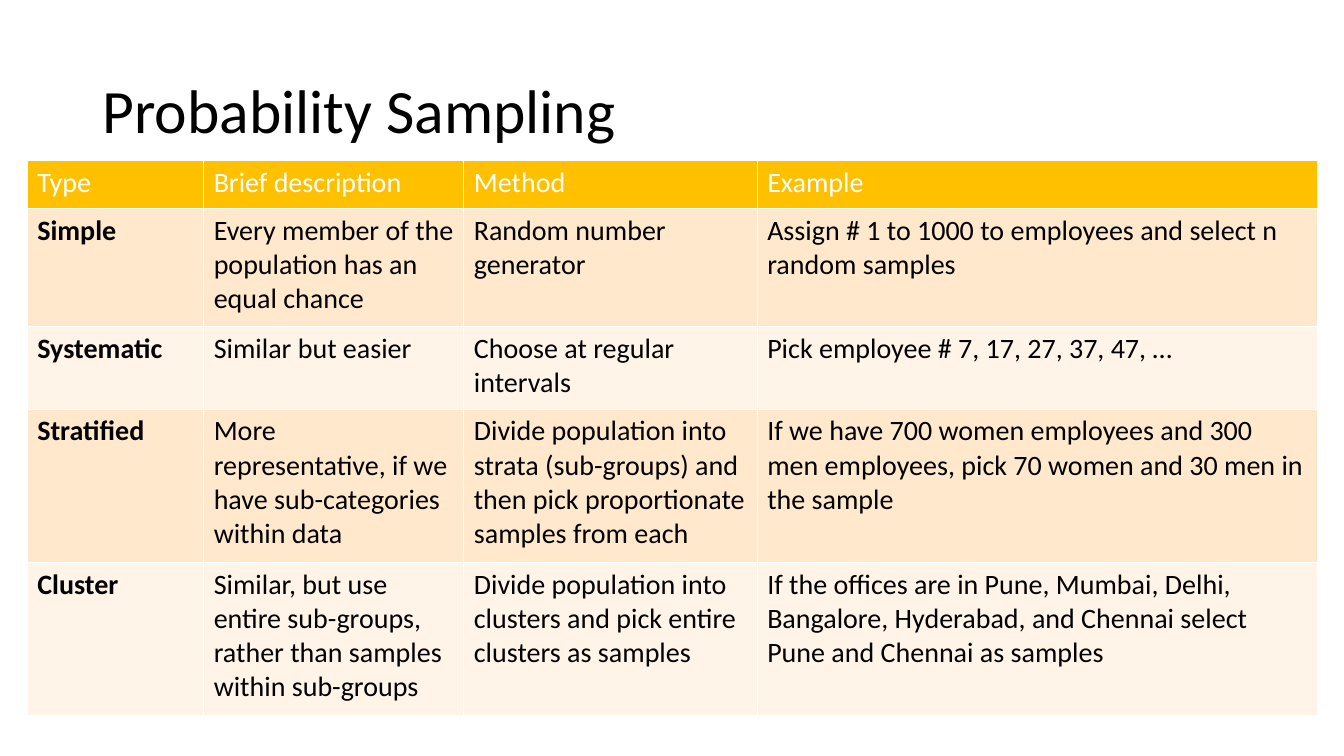
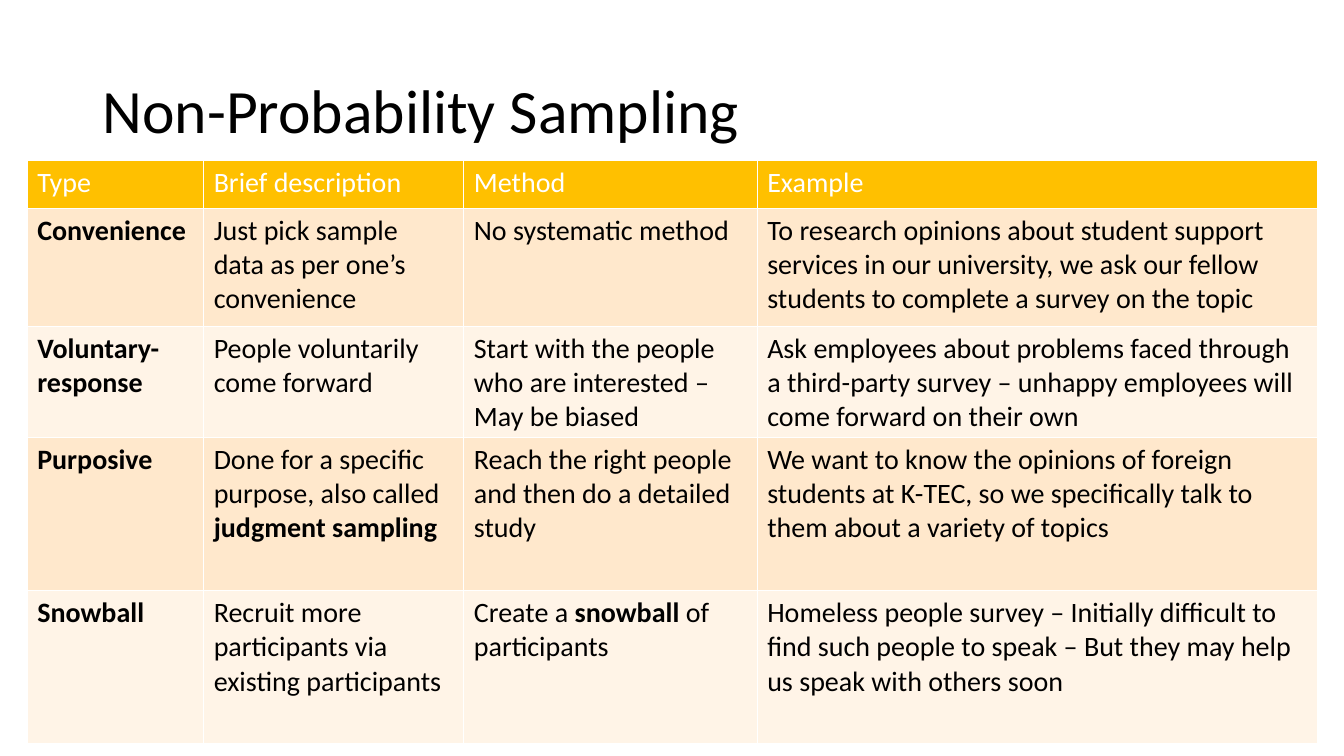
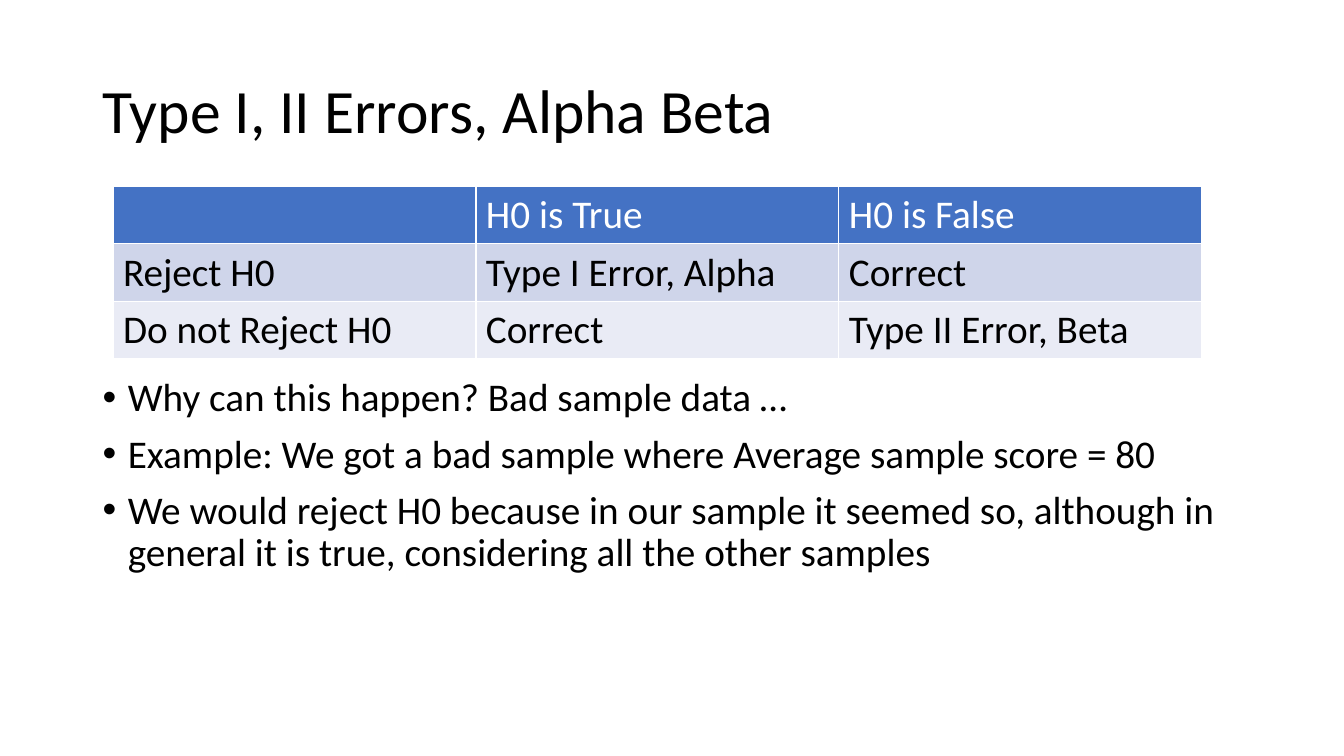
import lxml.etree
import pptx
import pptx.dml.color
import pptx.enum.text
import pptx.oxml.ns
import pptx.util

FONT = "Calibri"
BLACK, WHITE = "000000", "FFFFFF"
# Each palette holds the header fill, then the two alternating row fills.
AMBER = ("FFC000", "FFE8CC", "FFF4E7")
BLUE = ("4472C4", "CFD5EA", "E9EBF5")

SLIDE_SIZE = (13.33, 7.5)
TITLE_BOX = (0.92, 0.4, 11.5, 1.45)
SAMPLING_ORIGIN = (0.27, 1.59)
SAMPLING_COLUMNS = (1.75, 2.58, 2.91, 5.56)
SAMPLING_ROWS = (0.48, 1.17, 0.82, 1.52, 1.52)
ERRORS_ORIGIN = (1.12, 1.85)
ERRORS_COLUMNS = (3.6,) * 3
ERRORS_ROWS = (0.57,) * 3
REMARKS_BOX = (0.92, 3.7, 11.5, 3.06)

SAMPLING_HEADER = ("Type", "Brief description", "Method", "Example")
PROBABILITY = (
    SAMPLING_HEADER,
    ("Simple", "Every member of the population has an equal chance",
     "Random number generator",
     "Assign # 1 to 1000 to employees and select n random samples"),
    ("Systematic", "Similar but easier", "Choose at regular intervals",
     "Pick employee # 7, 17, 27, 37, 47, …"),
    ("Stratified",
     "More representative, if we have sub-categories within data",
     "Divide population into strata (sub-groups) and then pick "
     "proportionate samples from each",
     "If we have 700 women employees and 300 men employees, pick 70 women "
     "and 30 men in the sample"),
    ("Cluster",
     "Similar, but use entire sub-groups, rather than samples within "
     "sub-groups",
     "Divide population into clusters and pick entire clusters as samples",
     "If the offices are in Pune, Mumbai, Delhi, Bangalore, Hyderabad, and "
     "Chennai select Pune and Chennai as samples"),
)
NON_PROBABILITY = (
    SAMPLING_HEADER,
    ("Convenience", "Just pick sample data as per one’s convenience",
     "No systematic method",
     "To research opinions about student support services in our "
     "university, we ask our fellow students to complete a survey on the "
     "topic"),
    ("Voluntary-response", "People voluntarily come forward",
     "Start with the people who are interested – May be biased",
     "Ask employees about problems faced through a third-party survey – "
     "unhappy employees will come forward on their own"),
    ("Purposive",
     "Done for a specific purpose, also called **judgment sampling**",
     "Reach the right people and then do a detailed study",
     "We want to know the opinions of foreign students at K-TEC, so we "
     "specifically talk to them about a variety of topics"),
    ("Snowball", "Recruit more participants via existing participants",
     "Create a **snowball **of participants",
     "Homeless people survey – Initially difficult to find such people to "
     "speak – But they may help us speak with others soon"),
)
ERRORS = (
    ("", "H0 is True", "H0 is False"),
    ("Reject H0", "Type I Error, Alpha", "Correct"),
    ("Do not Reject H0", "Correct", "Type II Error, Beta"),
)
REMARKS = (
    "Why can this happen? Bad sample data …",
    "Example: We got a bad sample where Average sample score = 80",
    "We would reject H0 because in our sample it seemed so, although in "
    "general it is true, considering all the other samples",
)


def inches(lengths):
    return [pptx.util.Inches(length) for length in lengths]


def color(hex_string):
    return pptx.dml.color.RGBColor.from_string(hex_string)


def write(paragraph, text, size, ink=BLACK, bold=False):
    """Fill a paragraph; parts between double asterisks become bold."""
    for index, part in enumerate(text.split("**")):
        if part:
            run = paragraph.add_run()
            run.text = part
            if index % 2:
                run.font.bold = True
    paragraph.font.name = FONT
    paragraph.font.size = pptx.util.Pt(size)
    paragraph.font.bold = bold
    paragraph.font.color.rgb = color(ink)


def add_bullet(paragraph, indent=0.25):
    properties = paragraph._p.get_or_add_pPr()
    properties.set("marL", str(pptx.util.Inches(indent)))
    properties.set("indent", str(-pptx.util.Inches(indent)))
    lxml.etree.SubElement(properties, pptx.oxml.ns.qn("a:buFont"), typeface="Arial")
    lxml.etree.SubElement(properties, pptx.oxml.ns.qn("a:buChar"), char="•")


def add_text_frame(slide, box):
    frame = slide.shapes.add_textbox(*inches(box)).text_frame
    frame.word_wrap = True
    return frame


def add_titled_slide(deck, title):
    slide = deck.slides.add_slide(deck.slide_layouts[6])
    frame = add_text_frame(slide, TITLE_BOX)
    frame.vertical_anchor = pptx.enum.text.MSO_ANCHOR.MIDDLE
    heading = frame.paragraphs[0]
    heading.line_spacing = 0.9
    write(heading, title, 44)
    return slide


def add_grid(slide, origin, columns, rows, content, palette, size,
             bold_first_column=False):
    """Add a table with a header row and alternating row fills."""
    extent = (sum(columns), sum(rows))
    table = slide.shapes.add_table(
        len(rows), len(columns), *inches(origin + extent)).table
    for column, width in zip(table.columns, inches(columns)):
        column.width = width
    for row, height in zip(table.rows, inches(rows)):
        row.height = height
    header_fill, *band_fills = palette
    for r, texts in enumerate(content):
        is_header = r == 0
        fill = header_fill if is_header else band_fills[(r - 1) % 2]
        for c, text in enumerate(texts):
            cell = table.cell(r, c)
            cell.fill.solid()
            cell.fill.fore_color.rgb = color(fill)
            write(cell.text_frame.paragraphs[0], text, size,
                  ink=WHITE if is_header else BLACK,
                  bold=bold_first_column and c == 0 and not is_header)


def add_remarks(slide, box, remarks):
    frame = add_text_frame(slide, box)
    for index, remark in enumerate(remarks):
        paragraph = frame.add_paragraph() if index else frame.paragraphs[0]
        add_bullet(paragraph)
        paragraph.line_spacing = 0.9
        paragraph.space_after = pptx.util.Pt(10)
        write(paragraph, remark, 28)


def add_sampling_slide(deck, title, content):
    slide = add_titled_slide(deck, title)
    add_grid(slide, SAMPLING_ORIGIN, SAMPLING_COLUMNS, SAMPLING_ROWS,
             content, AMBER, 20, bold_first_column=True)


def add_errors_slide(deck):
    slide = add_titled_slide(deck, "Type I, II Errors, Alpha Beta")
    add_remarks(slide, REMARKS_BOX, REMARKS)
    add_grid(slide, ERRORS_ORIGIN, ERRORS_COLUMNS, ERRORS_ROWS,
             ERRORS, BLUE, 28)


def main():
    deck = pptx.Presentation()
    deck.slide_width, deck.slide_height = inches(SLIDE_SIZE)
    add_sampling_slide(deck, "Probability Sampling", PROBABILITY)
    add_sampling_slide(deck, "Non-Probability Sampling", NON_PROBABILITY)
    add_errors_slide(deck)
    deck.save("out.pptx")


if __name__ == "__main__":
    main()
